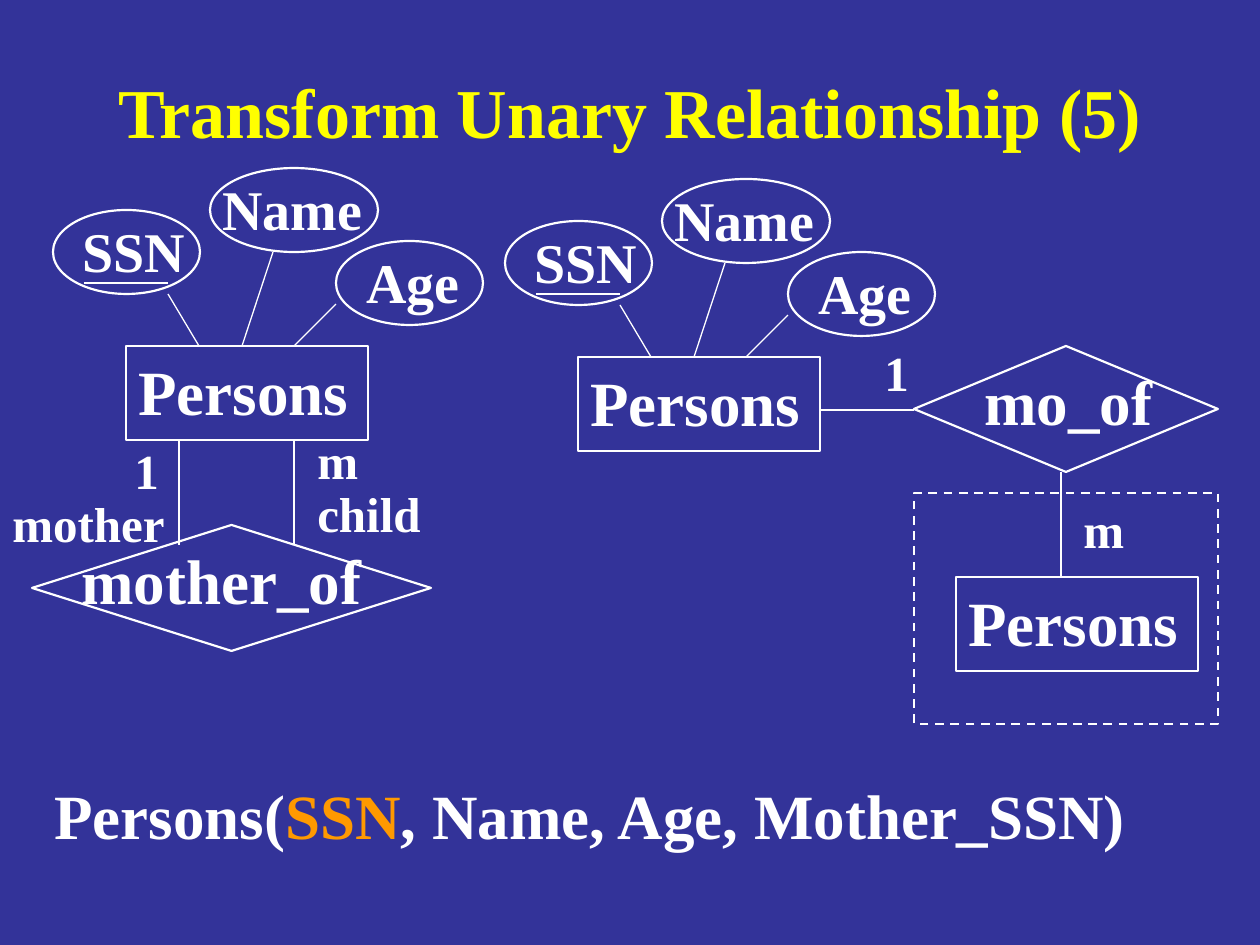
from lxml.etree import SubElement
from pptx import Presentation
from pptx.dml.color import RGBColor
from pptx.enum.dml import MSO_LINE_DASH_STYLE as Dash
from pptx.enum.shapes import MSO_CONNECTOR as Connector, MSO_SHAPE as Shape
from pptx.enum.text import MSO_ANCHOR as Anchor, PP_ALIGN as Align
from pptx.oxml.ns import qn
from pptx.util import Emu, Pt

COLORS = {"ground": "333399", "title": "FFFF00", "ink": "FFFFFF", "key": "FF9900"}
FONT = "Times New Roman"
ENTITY_W, ENTITY_H = 242, 94


def px(length):
    return Emu(round(length * 914400 / 126))


def rgb(name):
    return RGBColor.from_string(COLORS[name])


def write(paragraph, text, size=36, color="ink", align=Align.LEFT, spacing=None, indent=0):
    paragraph.alignment = align
    if spacing:
        paragraph.line_spacing = spacing
    if indent:
        paragraph._p.get_or_add_pPr().set("marL", str(px(indent)))
    run = paragraph.add_run()
    run.text = text
    font = run.font
    font.name, font.size, font.bold = FONT, Pt(size), True
    font.color.rgb = rgb(color)


class Diagram:
    """Draws entity-relationship elements on one slide in a shared style."""

    def __init__(self, slide):
        self.shapes = slide.shapes
        slide.background.fill.solid()
        slide.background.fill.fore_color.rgb = rgb("ground")

    def frame(self, x, y, w, h, anchor=Anchor.TOP):
        text_frame = self.shapes.add_textbox(px(x), px(y), px(w), px(h)).text_frame
        text_frame.word_wrap = True
        text_frame.vertical_anchor = anchor
        return text_frame

    def label(self, text, x, y, w, h, anchor=Anchor.TOP, **style):
        write(self.frame(x, y, w, h, anchor).paragraphs[0], text, **style)

    def role(self, count, name, x, y, w, indent=0):
        text_frame = self.frame(x, y, w, 118)
        write(text_frame.paragraphs[0], count, size=28, spacing=0.9, indent=indent)
        write(text_frame.add_paragraph(), name, size=28, spacing=0.9)

    def outline(self, kind, x, y, w, h, dash=None):
        shape = self.shapes.add_shape(kind, px(x), px(y), px(w), px(h))
        shape.shadow.inherit = False
        shape.fill.background()
        shape.line.color.rgb = rgb("ink")
        shape.line.width = Pt(1.25)
        if dash:
            shape.line.dash_style = dash

    def line(self, x1, y1, x2, y2):
        link = self.shapes.add_connector(Connector.STRAIGHT, px(x1), px(y1), px(x2), px(y2))
        link.line.color.rgb = rgb("ink")
        link.line.width = Pt(0.75)
        SubElement(link._element.spPr, qn("a:effectLst"))

    def entity(self, name, x, y):
        self.label(name, x, y, ENTITY_W, 88)
        self.outline(Shape.RECTANGLE, x, y, ENTITY_W, ENTITY_H)

    def attribute(self, name, x, y, w, inset):
        self.label(name, x + inset, y, w - inset + 12, 81, size=32)
        self.outline(Shape.OVAL, x, y, w, 84)

    def persons(self, x, y):
        self.entity("Persons", x, y)
        self.attribute("SSN", x - 73, y - 136, 147, 17)
        self.attribute("Name", x + 84, y - 178, 168, 0)
        self.attribute("Age", x + 210, y - 105, 147, 18)
        self.line(x - 42, y - 63, x + 42, y - 63)
        for start, rise, end in ((42, 52, 73), (147, 94, 116), (210, 42, 168)):
            self.line(x + start, y - rise, x + end, y)

    def relationship(self, name, x, y, w, inset):
        self.outline(Shape.DIAMOND, x, y, w, 126)
        self.label(name, x + inset, y + 10, w - inset, 88)


def main():
    deck = Presentation()
    deck.slide_width, deck.slide_height = px(1260), px(945)
    diagram = Diagram(deck.slides.add_slide(deck.slide_layouts[6]))

    diagram.label("Transform Unary Relationship (5)", 94, 53, 1071, 116,
                  anchor=Anchor.MIDDLE, size=40, color="title", align=Align.CENTER)

    diagram.persons(126, 346)
    diagram.relationship("mother_of", 32, 525, 399, 37)
    for x in (179, 294):
        diagram.line(x, 545, x, 441)
    diagram.role("1", "mother", 0, 441, 179, indent=122)
    diagram.role("m", "child", 305, 431, 136)

    diagram.persons(578, 357)
    diagram.outline(Shape.RECTANGLE, 914, 493, 304, 231, dash=Dash.DASH)
    diagram.relationship("mo_of", 914, 346, 304, 58)
    diagram.line(914, 410, 819, 410)
    diagram.label("1", 872, 336, 54, 72, size=28)
    diagram.entity("Persons", 956, 577)
    diagram.line(1061, 577, 1061, 472)
    diagram.label("m", 1071, 493, 72, 72, size=28)

    schema = diagram.frame(42, 770, 1176, 88).paragraphs[0]
    for text, color in (("Persons(", "ink"), ("SSN", "key"), (", Name, Age, Mother_SSN)", "ink")):
        write(schema, text, color=color)

    deck.save("out.pptx")


if __name__ == "__main__":
    main()
